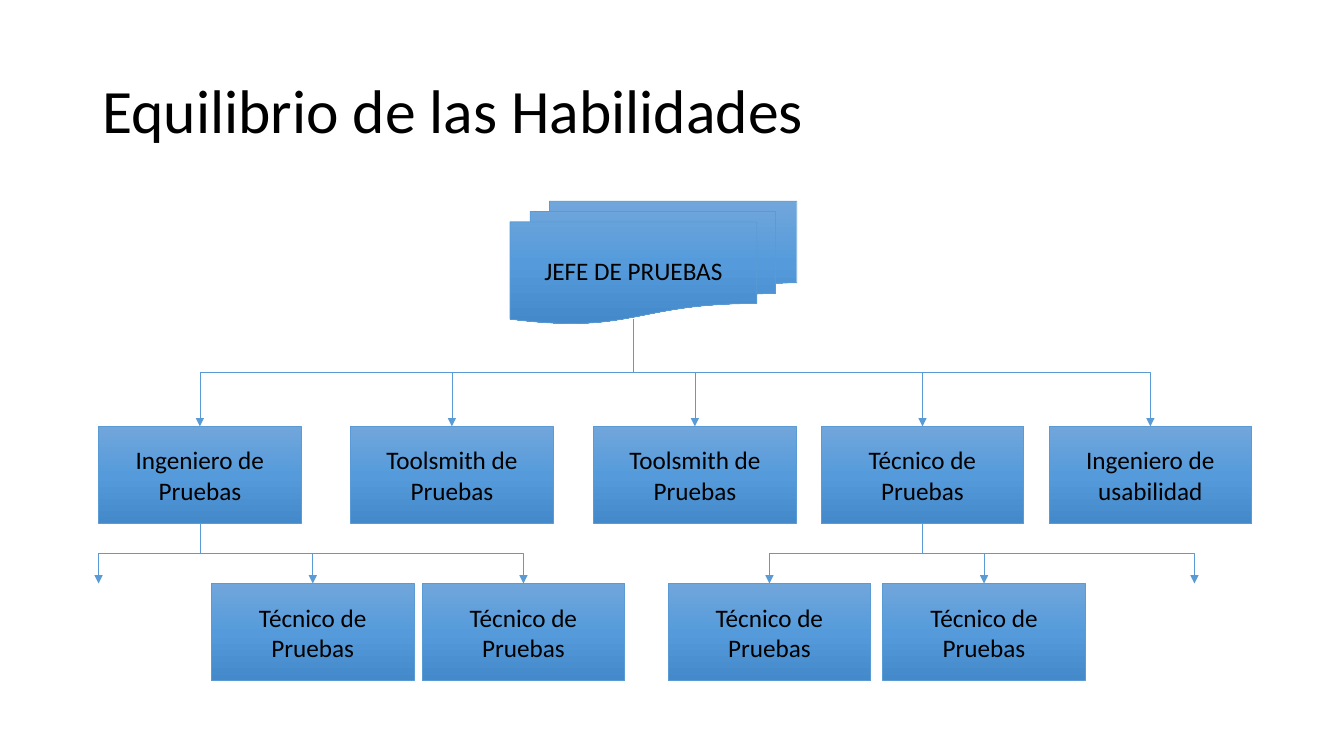
"""Build the test team organisation slide."""
from copy import deepcopy
from dataclasses import dataclass

from lxml import etree
from pptx import Presentation
from pptx import util as u
from pptx.dml.color import RGBColor
from pptx.enum import shapes, text
from pptx.oxml import ns


@dataclass(frozen=True)
class Theme:
    """Colours, font, type sizes and line width (points)."""
    font: str = "Calibri"
    ink: str = "000000"
    line: str = "5B9BD5"
    gradient: tuple = ((0, "71A6DB"), (0.5, "559BDB"), (1, "448ACA"))
    title_size: float = 44
    role_size: float = 18
    line_width: float = 0.5


@dataclass(frozen=True)
class Role:
    """A role in the chart, with its box in points."""
    name: str
    left: float
    top: float
    width: float = 144.8
    height: float = 69.4
    kind: shapes.MSO_SHAPE = shapes.MSO_SHAPE.RECTANGLE

    @property
    def top_center(self) -> tuple:
        """Point where an arrow arrives."""
        return self.left + self.width / 2, self.top

    @property
    def bottom_center(self) -> tuple:
        """Point where arrows leave."""
        return self.left + self.width / 2, self.top + self.height


THEME = Theme()
STAFF_TOP, TECHNICIAN_TOP = 304.6, 416.8
CHIEF = Role("JEFE DE PRUEBAS", 364.3, 143.7, 204.8, 87.6,
             shapes.MSO_SHAPE.FLOWCHART_MULTIDOCUMENT)
CHIEF_EXIT = (452.4, 228)
STAFF = [Role(name, left, STAFF_TOP) for name, left in (
    ("Ingeniero de Pruebas", 70.4),
    ("Toolsmith de Pruebas", 250.4),
    ("Toolsmith de Pruebas", 424),
    ("Técnico de Pruebas", 586.5),
    ("Ingeniero de usabilidad", 749.3),
)]
TECHNICIANS = [Role("Técnico de Pruebas", left, TECHNICIAN_TOP)
               for left in (151, 301.5, 477.2, 630.5)]
OPEN_ENDS = [(70.4, TECHNICIAN_TOP), (853.2, TECHNICIAN_TOP)]


def write_text(shape, content: str, *, size: float,
               align: text.PP_ALIGN, spacing: float = 1.0) -> None:
    """Put one formatted paragraph, vertically centred, in a shape."""
    frame = shape.text_frame
    frame.word_wrap = True
    frame.vertical_anchor = text.MSO_ANCHOR.MIDDLE
    paragraph = frame.paragraphs[0]
    paragraph.alignment = align
    paragraph.line_spacing = spacing
    run = paragraph.add_run()
    run.text = content
    run.font.name = THEME.font
    run.font.size = u.Pt(size)
    run.font.color.rgb = RGBColor.from_string(THEME.ink)


def format_line(line) -> None:
    """Apply the theme's line colour and width."""
    line.color.rgb = RGBColor.from_string(THEME.line)
    line.width = u.Pt(THEME.line_width)


def fill_gradient(shape) -> None:
    """Fill a shape with the theme's gradient, from top to bottom."""
    shape.fill.gradient()
    shape.fill.gradient_angle = 270
    stop_list = shape._element.spPr.find(".//" + ns.qn("a:gsLst"))
    while len(stop_list) < len(THEME.gradient):
        stop_list.append(deepcopy(stop_list[0]))
    for stop, (position, color) in zip(shape.fill.gradient_stops, THEME.gradient):
        stop.position = position
        stop.color.rgb = RGBColor.from_string(color)


def draw_role(slide, role: Role) -> None:
    """Draw one role box with its name."""
    shape = slide.shapes.add_shape(
        role.kind, u.Pt(role.left), u.Pt(role.top), u.Pt(role.width), u.Pt(role.height))
    shape.shadow.inherit = False
    fill_gradient(shape)
    format_line(shape.line)
    write_text(shape, role.name, size=THEME.role_size, align=text.PP_ALIGN.CENTER)


def draw_arrow(slide, start: tuple, end: tuple) -> None:
    """Draw an elbow arrow that leaves downwards and arrives downwards."""
    (x1, y1), (x2, y2) = start, end
    middle_x, middle_y = (x1 + x2) / 2, (y1 + y2) / 2
    goes_right = x2 > x1
    # The elbow is laid out sideways about its centre, then turned upright.
    half_run = (y2 - y1) / 2 * (-1 if goes_right else 1)
    half_rise = abs(x2 - x1) / 2
    connector = slide.shapes.add_connector(
        shapes.MSO_CONNECTOR.ELBOW,
        u.Pt(middle_x - half_run), u.Pt(middle_y - half_rise),
        u.Pt(middle_x + half_run), u.Pt(middle_y + half_rise))
    format_line(connector.line)
    properties = connector._element.spPr
    degrees = 270 if goes_right else 90
    properties.find(ns.qn("a:xfrm")).set("rot", str(degrees * 60000))
    line = properties.find(ns.qn("a:ln"))
    etree.SubElement(line, ns.qn("a:tailEnd"), type="triangle")
    etree.SubElement(properties, ns.qn("a:effectLst"))


def draw_title(slide, content: str) -> None:
    """Place and format the title placeholder."""
    title = slide.shapes.title
    title.left, title.top = u.Pt(66), u.Pt(28.8)
    title.width, title.height = u.Pt(828), u.Pt(104.4)
    write_text(title, content, size=THEME.title_size,
               align=text.PP_ALIGN.LEFT, spacing=0.9)


def main() -> None:
    """Build and save the presentation."""
    presentation = Presentation()
    presentation.slide_width, presentation.slide_height = u.Pt(960), u.Pt(540)
    slide = presentation.slides.add_slide(presentation.slide_layouts[5])
    draw_title(slide, "Equilibrio de las Habilidades")

    for role in (*STAFF, *TECHNICIANS, CHIEF):
        draw_role(slide, role)

    technician_tops = [role.top_center for role in TECHNICIANS]
    branches = (
        (CHIEF_EXIT, [role.top_center for role in STAFF]),
        (STAFF[0].bottom_center, [OPEN_ENDS[0], *technician_tops[:2]]),
        (STAFF[3].bottom_center, [*technician_tops[2:], OPEN_ENDS[1]]),
    )
    for start, ends in branches:
        for end in ends:
            draw_arrow(slide, start, end)

    presentation.save("out.pptx")


main()
